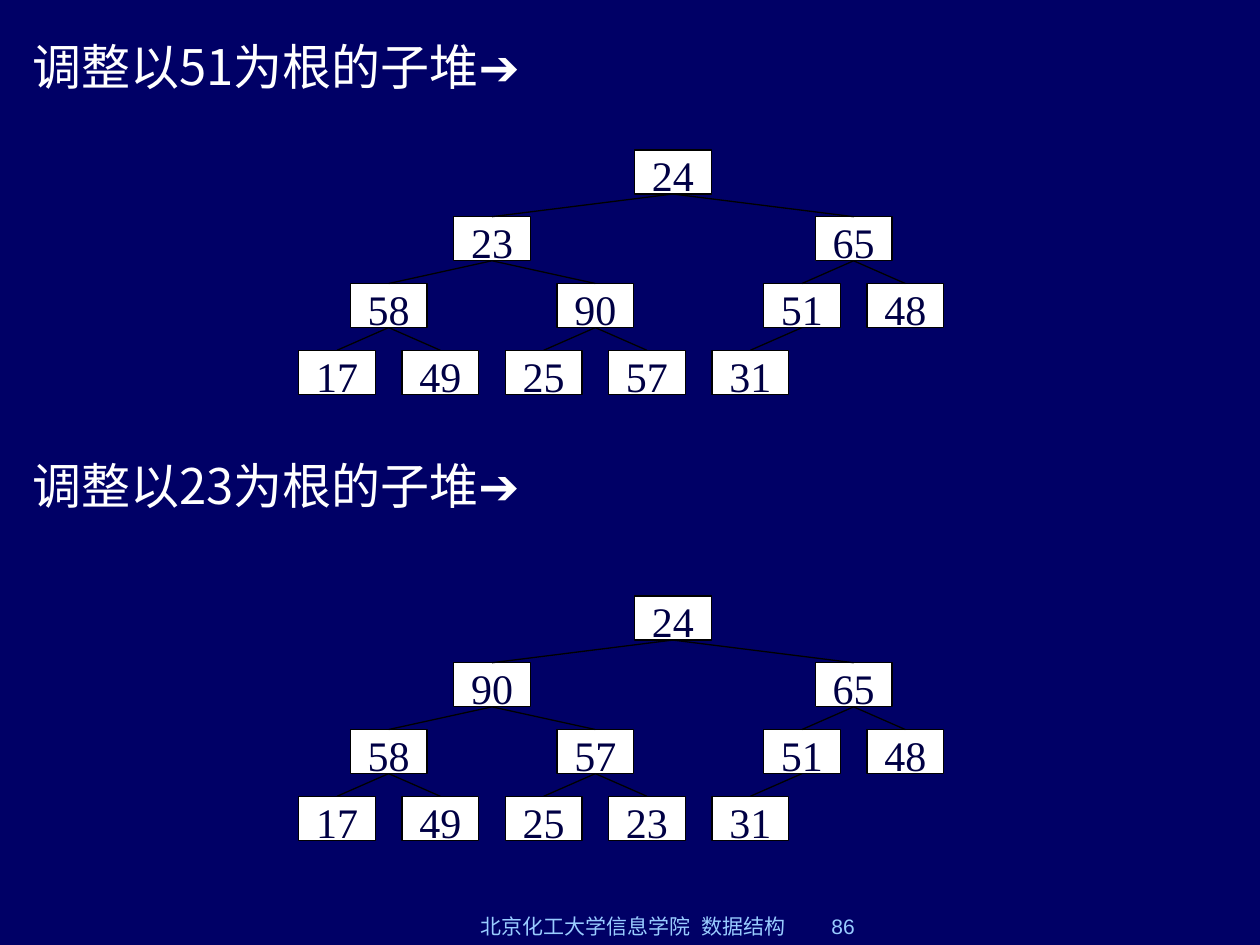
from dataclasses import dataclass

from lxml.etree import SubElement
from pptx import Presentation
from pptx.dml.color import RGBColor
from pptx.enum.shapes import MSO_CONNECTOR, MSO_SHAPE
from pptx.enum.text import MSO_ANCHOR, MSO_AUTO_SIZE, PP_ALIGN
from pptx.oxml.ns import qn
from pptx.util import Inches, Pt


@dataclass(frozen=True)
class Theme:
    """Colours, fonts and type sizes of the slide."""
    background: RGBColor = RGBColor(0x00, 0x00, 0x66)
    heading: RGBColor = RGBColor(0xFF, 0xFF, 0xFF)
    node_fill: RGBColor = RGBColor(0xFF, 0xFF, 0xFF)
    node_text: RGBColor = RGBColor(0x00, 0x00, 0x44)
    outline: RGBColor = RGBColor(0x00, 0x00, 0x00)
    footer: RGBColor = RGBColor(0x99, 0xCC, 0xFF)
    heading_font: str = "Noto Sans CJK SC"
    node_font: str = "Times New Roman"
    plain_font: str = "Arial"
    heading_size: Pt = Pt(28)
    node_size: Pt = Pt(24)
    footer_size: Pt = Pt(12)
    outline_width: Pt = Pt(0.75)


THEME = Theme()
NODE_WIDTH, NODE_HEIGHT = 0.61, 0.35
FIRST_LEFT, HALF_STEP, LEVEL_STEP = 2.37, 0.41, 0.53
HEAP_COLUMNS = (6.5, 3, 10, 1, 5, 9, 11, 0, 2, 4, 6, 8)
BOTTOM_SITE, TOP_SITE = 2, 0

STAGES = (
    (51, 0.24, 1.19, (24, 23, 65, 58, 90, 51, 48, 17, 49, 25, 57, 31)),
    (23, 3.57, 4.73, (24, 90, 65, 58, 57, 51, 48, 17, 49, 25, 23, 31)),
)


def add_run(paragraph, text, font_name, size, colour):
    """Append a run in one font for Latin and East Asian text."""
    run = paragraph.add_run()
    run.text = text
    run.font.name = font_name
    run.font.size = size
    run.font.color.rgb = colour
    SubElement(run.font._element, qn("a:ea"), typeface=font_name)


def place_heading(heading, root, top):
    """Position a heading and write which subheap is adjusted."""
    heading.left, heading.top = Inches(0.16), Inches(top)
    heading.width, heading.height = Inches(4.46), Inches(0.57)
    frame = heading.text_frame
    frame.word_wrap = True
    frame.auto_size = MSO_AUTO_SIZE.SHAPE_TO_FIT_TEXT
    frame.vertical_anchor = MSO_ANCHOR.TOP
    paragraph = frame.paragraphs[0]
    paragraph.alignment = PP_ALIGN.LEFT
    for text, font_name in (
        (f"调整以{root}为根的子堆", THEME.heading_font),
        ("➔", THEME.plain_font),
    ):
        add_run(paragraph, text, font_name, THEME.heading_size, THEME.heading)


def add_node(tree, key, left, top):
    """Add one boxed key to a heap tree."""
    node = tree.shapes.add_shape(
        MSO_SHAPE.RECTANGLE, Inches(left), Inches(top),
        Inches(NODE_WIDTH), Inches(NODE_HEIGHT))
    node.shadow.inherit = False
    node.fill.solid()
    node.fill.fore_color.rgb = THEME.node_fill
    node.line.color.rgb = THEME.outline
    node.line.width = THEME.outline_width
    frame = node.text_frame
    frame.margin_left = frame.margin_right = 0
    frame.margin_top = frame.margin_bottom = 0
    frame.word_wrap = True
    frame.vertical_anchor = MSO_ANCHOR.TOP
    paragraph = frame.paragraphs[0]
    paragraph.alignment = PP_ALIGN.CENTER
    add_run(paragraph, str(key), THEME.node_font, THEME.node_size, THEME.node_text)
    return node


def add_edge(tree, parent, child):
    """Join a parent's bottom to its child's top."""
    edge = tree.shapes.add_connector(MSO_CONNECTOR.STRAIGHT, 0, 0, 0, 0)
    edge.begin_connect(parent, BOTTOM_SITE)
    edge.end_connect(child, TOP_SITE)
    edge.line.color.rgb = THEME.outline
    edge.line.width = THEME.outline_width
    SubElement(edge._element.spPr, qn("a:effectLst"))


def add_heap(slide, keys, top):
    """Draw keys given in heap order as a grouped binary tree."""
    tree = slide.shapes.add_group_shape()
    nodes = []
    for position, (key, column) in enumerate(zip(keys, HEAP_COLUMNS), start=1):
        level = position.bit_length() - 1
        nodes.append(add_node(
            tree, key, FIRST_LEFT + column * HALF_STEP, top + level * LEVEL_STEP))
    for index, child in enumerate(nodes[1:], start=1):
        add_edge(tree, nodes[(index - 1) // 2], child)


def add_footer(slide, text, left, width, alignment):
    """Add a footer text that rests on the slide's bottom edge."""
    footer = slide.shapes.add_textbox(
        Inches(left), Inches(7.25), Inches(width), Inches(0.25))
    frame = footer.text_frame
    frame.word_wrap = True
    frame.vertical_anchor = MSO_ANCHOR.BOTTOM
    paragraph = frame.paragraphs[0]
    paragraph.alignment = alignment
    add_run(paragraph, text, THEME.plain_font, THEME.footer_size, THEME.footer)


def main():
    """Build the heap adjustment slide."""
    presentation = Presentation()
    presentation.slide_width, presentation.slide_height = Inches(10), Inches(7.5)
    slide = presentation.slides.add_slide(presentation.slide_layouts[5])
    slide.background.fill.solid()
    slide.background.fill.fore_color.rgb = THEME.background
    second_heading = slide.shapes.add_textbox(0, 0, 0, 0)
    headings = (slide.shapes.title, second_heading)
    for heading, (root, heading_top, heap_top, keys) in zip(headings, STAGES):
        place_heading(heading, root, heading_top)
        add_heap(slide, keys, heap_top)
    add_footer(slide, "北京化工大学信息学院  数据结构", 3.58, 2.89, PP_ALIGN.CENTER)
    add_footer(slide, "86", 6.5, 2.08, PP_ALIGN.LEFT)
    presentation.save("out.pptx")


if __name__ == "__main__":
    main()
